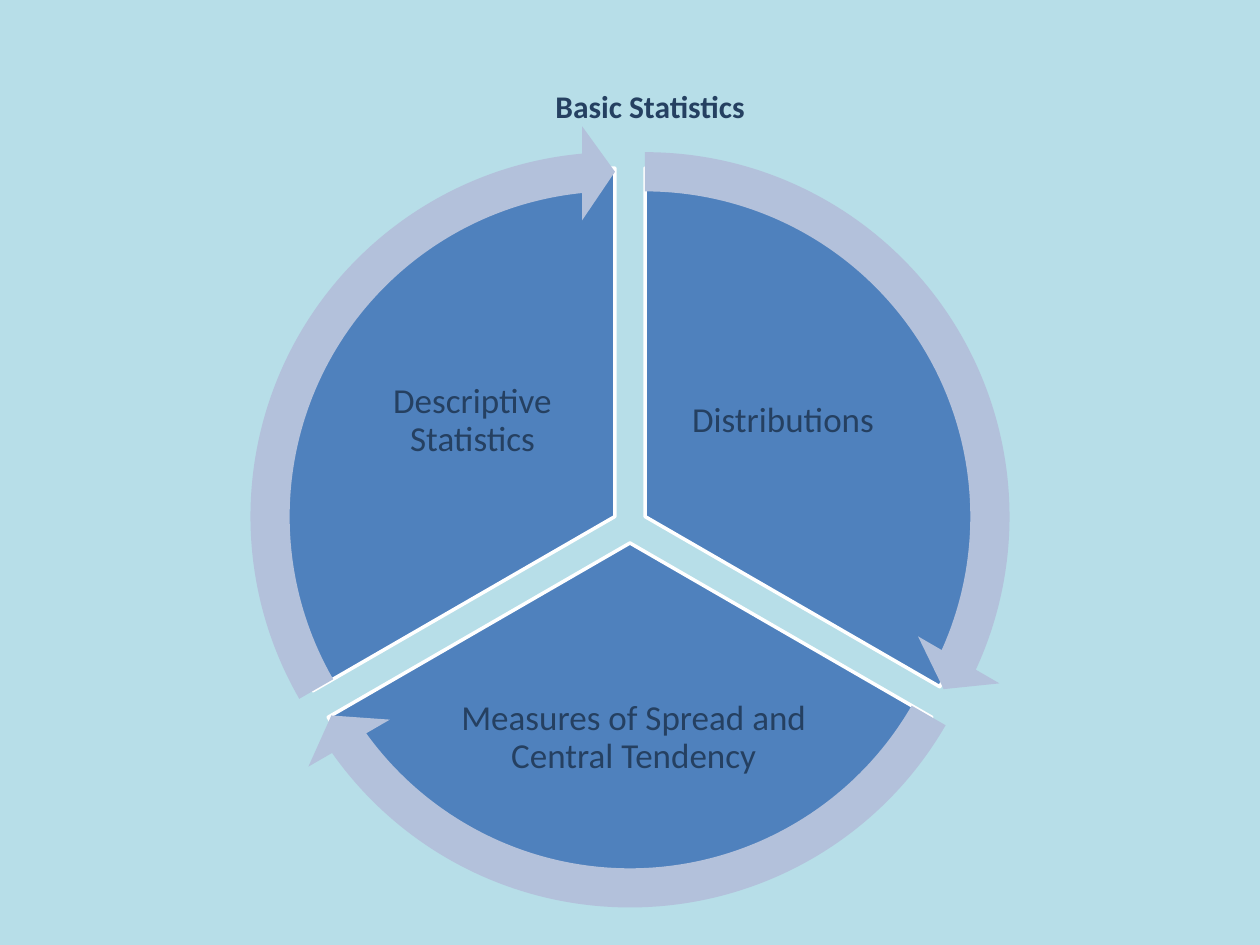
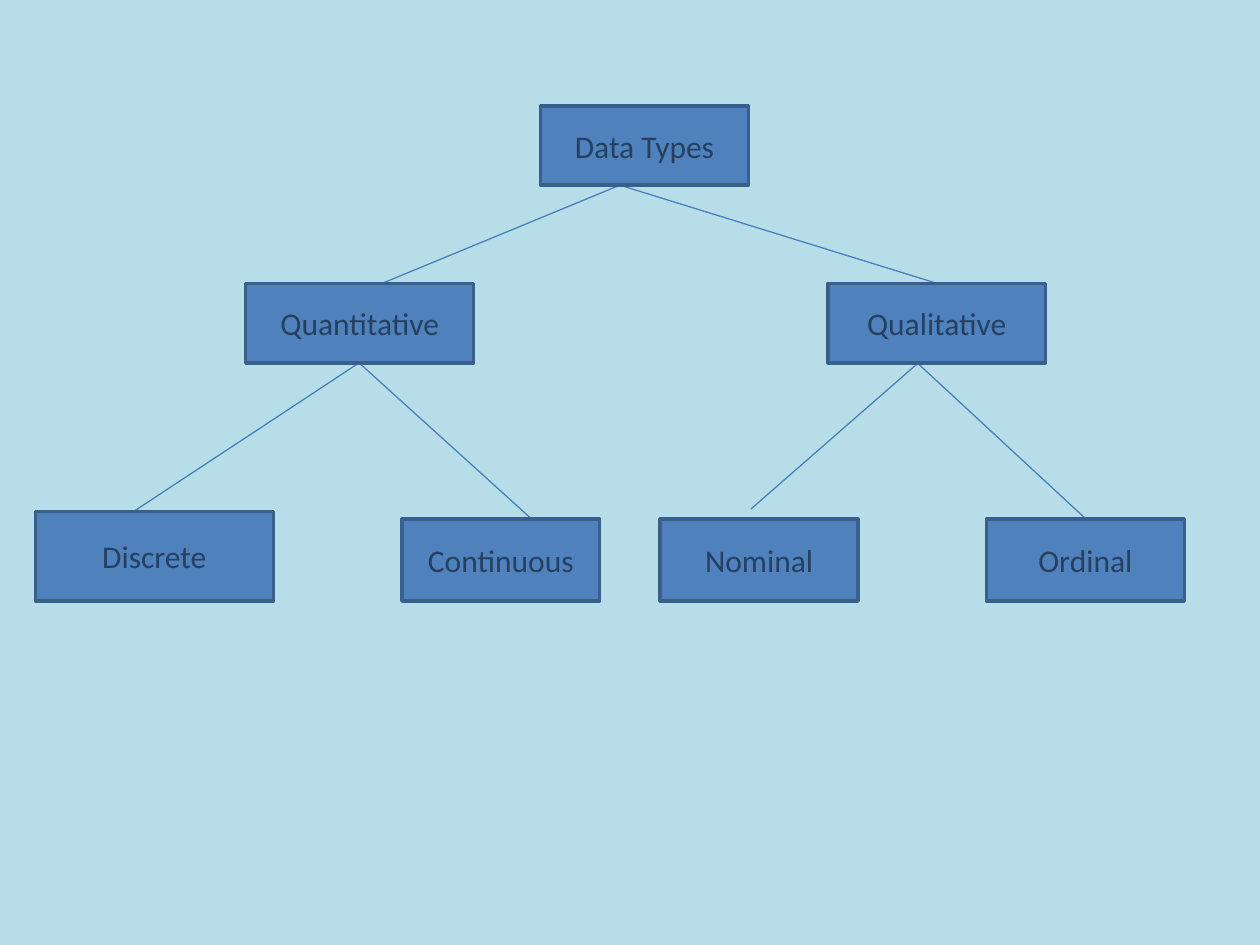
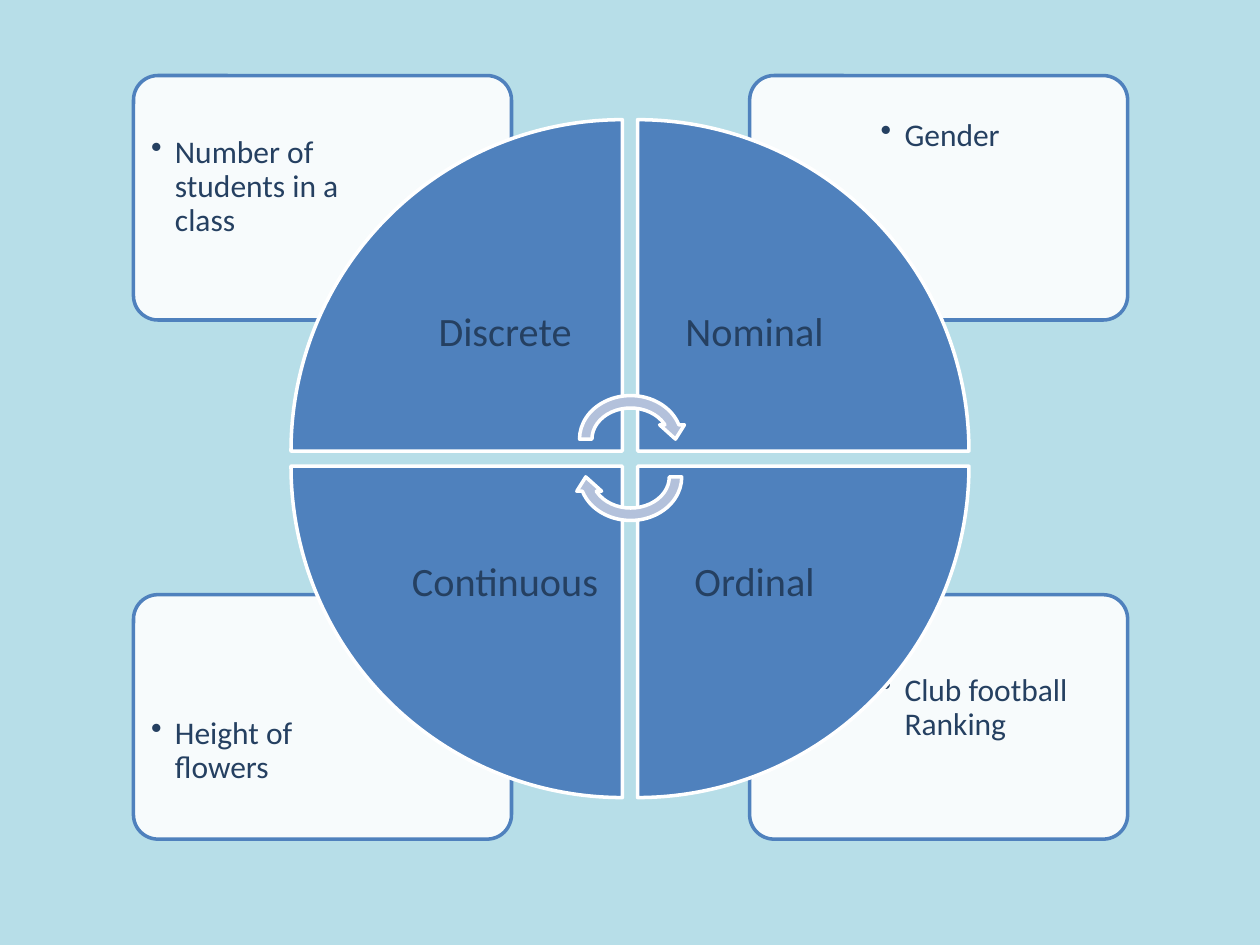
from dataclasses import dataclass

from lxml import etree
from pptx import Presentation
from pptx.dml.color import RGBColor
from pptx.enum.shapes import MSO_CONNECTOR, MSO_SHAPE
from pptx.enum.text import MSO_ANCHOR, MSO_AUTO_SIZE, PP_ALIGN
from pptx.oxml.ns import qn
from pptx.shapes.autoshape import Shape
from pptx.slide import Slide
from pptx.text.text import TextFrame
from pptx.util import Inches, Pt

SKY = RGBColor(0xB7, 0xDE, 0xE8)
BLUE = RGBColor(0x4F, 0x81, 0xBD)
EDGE = RGBColor(0x3A, 0x5F, 0x8C)
LINK = RGBColor(0x4B, 0x7E, 0xBC)
LAVENDER = RGBColor(0xB3, 0xC1, 0xDB)
NAVY = RGBColor(0x25, 0x40, 0x61)
WHITE = RGBColor(0xFF, 0xFF, 0xFF)
FONT = "Calibri"

RECT = MSO_SHAPE.RECTANGLE
ROUND_RECT = MSO_SHAPE.ROUNDED_RECTANGLE
PIE = MSO_SHAPE.PIE
WEDGE = MSO_SHAPE.PIE_WEDGE
ARROW = MSO_SHAPE.CIRCULAR_ARROW
STRAIGHT = MSO_CONNECTOR.STRAIGHT
LEFT, CENTER = PP_ALIGN.LEFT, PP_ALIGN.CENTER
TOP, MIDDLE = MSO_ANCHOR.TOP, MSO_ANCHOR.MIDDLE
NO_AUTOFIT = MSO_AUTO_SIZE.NONE

TITLE_ONLY, BLANK = 5, 6
Box = tuple[float, float, float, float]
Point = tuple[float, float]

PIE_SIZE, RING_SIZE = 5.53, 6.22
CENTER_X, CENTER_Y = 5.0, 3.64
HALF_GAP, WEDGE_SIZE, LABEL_SIZE = 0.06, 2.63, 1.86


@dataclass(frozen=True)
class Slice:
    text: str
    center: Point
    width: float
    angles: Point
    arrow_angles: Point
    label: Box


@dataclass(frozen=True)
class Node:
    text: str
    box: Box


@dataclass(frozen=True)
class Quadrant:
    text: str
    example: str
    col: int
    row: int
    rotation: int
    text_top: float


SLICES = [
    Slice("Distributions", (5.12, 4.1), 5.36, (162, 18),
          (14.73, 161.99), (5.26, 2.52, 1.91, 1.65)),
    Slice("Measures of Spread and Central Tendency", (5, 4.31), PIE_SIZE, (18, 90),
          (86.72, 18), (3.55, 5.13, 2.96, 1.45)),
    Slice("Descriptive Statistics", (4.88, 4.1), PIE_SIZE, (90, 162),
          (158.73, 90), (2.76, 2.52, 1.98, 1.65)),
]

NODES = [
    Node("Data Types", (4.29, 0.84, 1.65, 0.63)),
    Node("Quantitative", (1.95, 2.25, 1.81, 0.63)),
    Node("Qualitative", (6.57, 2.25, 1.73, 0.63)),
    Node("Discrete", (0.28, 4.06, 1.89, 0.71)),
    Node("Continuous", (3.19, 4.12, 1.57, 0.65)),
    Node("Nominal", (5.24, 4.12, 1.57, 0.65)),
    Node("Ordinal", (7.83, 4.12, 1.57, 0.65)),
]

LINKS: list[tuple[Point, Point]] = [
    ((4.92, 1.47), (3.03, 2.25)),
    ((4.92, 1.47), (7.44, 2.25)),
    ((2.85, 2.88), (1.06, 4.06)),
    ((2.85, 2.88), (4.22, 4.12)),
    ((7.3, 2.87), (5.96, 4.04)),
    ((7.28, 2.88), (8.62, 4.12)),
]

QUADRANTS = [
    Quadrant("Ordinal", "Club football Ranking", 1, 1, 180, 0.1),
    Quadrant("Continuous", "Height of flowers", 0, 1, 270, 0.44),
    Quadrant("Nominal", "Gender", 1, 0, 90, 0.44),
    Quadrant("Discrete", "Number of students in a class", 0, 0, 0, 0.44),
]


def write(tf: TextFrame, text: str, size: float, bold: bool = False,
          align: PP_ALIGN = CENTER, anchor: MSO_ANCHOR = MIDDLE,
          spacing: float = 1.0) -> None:
    tf.text = text
    tf.word_wrap = True
    tf.vertical_anchor = anchor
    p = tf.paragraphs[0]
    p.alignment = align
    p.line_spacing = spacing
    font = p.runs[0].font
    font.name, font.size, font.bold = FONT, Pt(size), bold
    font.color.rgb = NAVY


def add_shape(slide: Slide, kind: MSO_SHAPE, box: Box, fill: RGBColor,
              line: RGBColor | None = None, adjustments: tuple[float, ...] = (),
              rotation: int = 0) -> Shape:
    sp = slide.shapes.add_shape(kind, *map(Inches, box))
    sp.shadow.inherit = False
    sp.rotation = rotation
    sp.fill.solid()
    sp.fill.fore_color.rgb = fill
    if line is None:
        sp.line.fill.background()
    else:
        sp.line.color.rgb = line
        sp.line.width = Pt(2)
    for i, value in enumerate(adjustments):
        sp.adjustments[i] = value
    return sp


def add_label(slide: Slide, box: Box, text: str, size: float, inset: float,
              align: PP_ALIGN = CENTER, anchor: MSO_ANCHOR = MIDDLE) -> TextFrame:
    tf = slide.shapes.add_textbox(*map(Inches, box)).text_frame
    tf.margin_left = tf.margin_right = Inches(inset)
    tf.margin_top = tf.margin_bottom = Inches(inset)
    write(tf, text, size, align=align, anchor=anchor, spacing=0.9)
    return tf


def add_link(slide: Slide, start: Point, end: Point) -> None:
    cxn = slide.shapes.add_connector(STRAIGHT, *map(Inches, start + end))
    cxn.line.color.rgb = LINK
    cxn.line.width = Pt(0.75)
    etree.SubElement(cxn._element.spPr, qn("a:effectLst"))


def set_bullet(tf: TextFrame) -> None:
    pPr = tf.paragraphs[0]._p.get_or_add_pPr()
    pPr.set("marL", str(Inches(0.19)))
    pPr.set("indent", str(-Inches(0.19)))
    etree.SubElement(pPr, qn("a:buChar")).set("char", "•")


def set_opacity(sp: Shape, percent: int) -> None:
    color = sp._element.spPr.find(qn("a:solidFill"))[0]
    etree.SubElement(color, qn("a:alpha")).set("val", str(percent * 1000))


def add_title(slide: Slide, text: str, box: Box) -> None:
    sp = slide.shapes.title
    sp.left, sp.top, sp.width, sp.height = map(Inches, box)
    write(sp.text_frame, text, 18, bold=True, anchor=TOP)
    sp.text_frame.auto_size = NO_AUTOFIT


def build_cycle(slide: Slide) -> None:
    for item in SLICES:
        x, y = item.center
        box = (x - item.width / 2, y - PIE_SIZE / 2, item.width, PIE_SIZE)
        add_shape(slide, PIE, box, BLUE, WHITE, item.angles)
        add_label(slide, item.label, item.text, 20, 0.03)
    for item in SLICES:
        x, y = item.center
        box = (x - RING_SIZE / 2, y - RING_SIZE / 2, RING_SIZE, RING_SIZE)
        add_shape(slide, ARROW, box, LAVENDER,
                  adjustments=(0.05, 3.28, *item.arrow_angles, 0.06))
    add_title(slide, "Basic Statistics", (2.8, 0.64, 4.72, 0.4))


def build_tree(slide: Slide) -> None:
    for start, end in LINKS:
        add_link(slide, start, end)
    for node in NODES:
        sp = add_shape(slide, RECT, node.box, BLUE, EDGE)
        write(sp.text_frame, node.text, 18)


def quadrant_box(quad: Quadrant, size: float) -> Box:
    left = CENTER_X + (HALF_GAP if quad.col else -HALF_GAP - size)
    top = CENTER_Y + (HALF_GAP if quad.row else -HALF_GAP - size)
    return left, top, size, size


def build_quadrants(slide: Slide) -> None:
    for quad in QUADRANTS:
        left, top = 1.06 + 4.89 * quad.col, 0.6 + 4.12 * quad.row
        card = add_shape(slide, ROUND_RECT, (left, top, 3, 1.94), WHITE, BLUE, (0.1,))
        set_opacity(card, 90)
        box = (left + 0.04 + 0.9 * quad.col, top + 0.04 + 0.49 * quad.row, 2.01, 1.37)
        tf = add_label(slide, box, quad.example, 18, 0.1, LEFT, TOP)
        tf.margin_top = Inches(quad.text_top)
        set_bullet(tf)
    for quad in QUADRANTS:
        add_shape(slide, WEDGE, quadrant_box(quad, WEDGE_SIZE), BLUE, WHITE,
                  rotation=quad.rotation)
        add_label(slide, quadrant_box(quad, LABEL_SIZE), quad.text, 23, 0.18)
    for top, rotation in ((3.09, 0), (3.39, 180)):
        add_shape(slide, ARROW, (4.55, top, 0.91, 0.79), LAVENDER, WHITE,
                  rotation=rotation)


def main() -> None:
    prs = Presentation()
    prs.slide_width, prs.slide_height = Inches(10), Inches(7.5)
    background = prs.slide_master.background.fill
    background.solid()
    background.fore_color.rgb = SKY
    for layout, build in ((TITLE_ONLY, build_cycle), (BLANK, build_tree),
                          (BLANK, build_quadrants)):
        build(prs.slides.add_slide(prs.slide_layouts[layout]))
    prs.save("out.pptx")


main()
